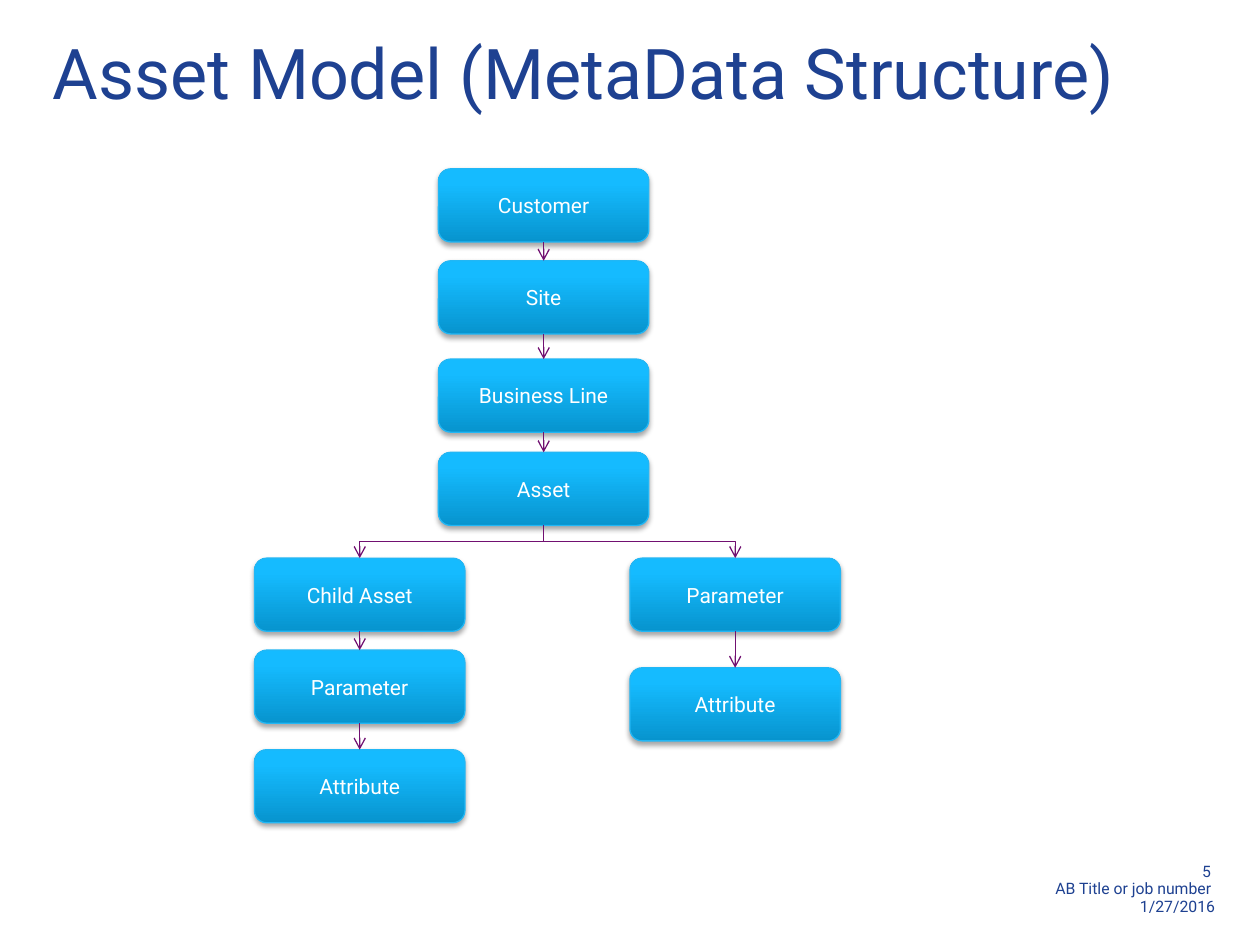
from lxml import etree
from pptx import Presentation
from pptx.dml.color import RGBColor
from pptx.enum import shapes, text
from pptx.oxml import parse_xml
from pptx.oxml.ns import nsdecls, qn
from pptx.util import Inches, Pt

COLORS = {
    "navy": "1E4191",
    "white": "FFFFFF",
    "box_line": "22B7F5",
    "arrow": "711071",
    "shadow": "000000",
}
BOX_STOPS = [(0, "0794CE"), (80, "15BBFF"), (100, "16BBFF")]
FONT = "Roboto"
BOX_W, BOX_H = 1.67, 0.58
TOP, BOTTOM = 0, 2

# Each column: left edge, then (label, top) from parent to child
MAIN = (3.48, [("Customer", 1.34), ("Site", 2.07),
               ("Business Line", 2.85), ("Asset", 3.59)])
CHILD = (2.02, [("Child Asset", 4.43), ("Parameter", 5.16), ("Attribute", 5.95)])
PARAMETER = (5, [("Parameter", 4.43), ("Attribute", 5.3)])


def rgb(name):
    return RGBColor.from_string(COLORS[name])


def write(tf, *lines, size=12, color="white", align=None, spacing=None,
          anchor=text.MSO_ANCHOR.TOP):
    tf.word_wrap = True
    tf.vertical_anchor = anchor
    for i, line in enumerate(lines):
        p = tf.add_paragraph() if i else tf.paragraphs[0]
        p.alignment = align
        p.line_spacing = spacing
        r = p.add_run()
        r.text = line
        r.font.name = FONT
        r.font.size = Pt(size)
        r.font.color.rgb = rgb(color)


def add_title(slide, title):
    sp = slide.shapes.title
    sp.left, sp.top, sp.width, sp.height = map(Inches, (0.42, 0.31, 9.25, 0.67))
    tf = sp.text_frame
    tf.margin_left = tf.margin_top = tf.margin_right = tf.margin_bottom = 0
    tf.auto_size = text.MSO_AUTO_SIZE.NONE
    write(tf, title, size=40, color="navy", align=text.PP_ALIGN.LEFT, spacing=0.9)


def add_footer(slide, *lines):
    sp = slide.shapes.add_textbox(*map(Inches, (7.05, 6.81, 2.69, 0.51)))
    write(sp.text_frame, *lines, size=9, color="navy",
          align=text.PP_ALIGN.RIGHT, spacing=0.9)
    sp.text_frame.auto_size = text.MSO_AUTO_SIZE.SHAPE_TO_FIT_TEXT


def set_gradient(sp):
    """Fill from bottom to top with the three box stops."""
    sp.fill.gradient()
    sp.fill.gradient_angle = 90
    stops = sp._element.spPr.find(qn("a:gradFill")).find(qn("a:gsLst"))
    for old in list(stops):
        stops.remove(old)
    for percent, color in BOX_STOPS:
        gs = etree.SubElement(stops, qn("a:gs"), pos=str(percent * 1000))
        etree.SubElement(gs, qn("a:srgbClr"), val=color)


def set_shadow(sp):
    sp.shadow.inherit = False
    effects = sp._element.spPr.find(qn("a:effectLst"))
    effects.append(parse_xml(
        f'<a:outerShdw {nsdecls("a")} blurRad="{Pt(3.1)}" dist="{Pt(1.8)}" '
        f'dir="5400000" rotWithShape="0"><a:srgbClr val="{COLORS["shadow"]}">'
        '<a:alpha val="35000"/></a:srgbClr></a:outerShdw>'))


def add_box(slide, label, left, top):
    sp = slide.shapes.add_shape(shapes.MSO_SHAPE.ROUNDED_RECTANGLE,
                                *map(Inches, (left, top, BOX_W, BOX_H)))
    set_gradient(sp)
    sp.line.color.rgb = rgb("box_line")
    sp.line.width = Pt(0.75)
    set_shadow(sp)
    write(sp.text_frame, label, align=text.PP_ALIGN.CENTER,
          anchor=text.MSO_ANCHOR.MIDDLE)
    return sp


def turn_elbow(c):
    """Rotate an elbow so that it leaves and arrives vertically."""
    dx, dy = c.end_x - c.begin_x, c.end_y - c.begin_y
    mid_x, mid_y = c.begin_x + dx // 2, c.begin_y + dy // 2
    c.width, c.height = dy, abs(dx)
    c.left, c.top = mid_x - dy // 2, mid_y - abs(dx) // 2
    xfrm = c._element.spPr.find(qn("a:xfrm"))
    xfrm.set("rot", str((270 if dx > 0 else 90) * 60000))
    xfrm.set("flipH", "1" if dx > 0 else "0")


def add_arrow(slide, parent, child, elbow=False):
    kind = shapes.MSO_CONNECTOR.ELBOW if elbow else shapes.MSO_CONNECTOR.STRAIGHT
    c = slide.shapes.add_connector(kind, 0, 0, 0, 0)
    c.begin_connect(parent, BOTTOM)
    c.end_connect(child, TOP)
    if elbow:
        turn_elbow(c)
    c.line.color.rgb = rgb("arrow")
    c.line.width = Pt(0.75)
    etree.SubElement(c.line._get_or_add_ln(), qn("a:tailEnd"), type="arrow")
    etree.SubElement(c._element.spPr, qn("a:effectLst"))


def add_column(slide, left, items):
    boxes = [add_box(slide, label, left, top) for label, top in items]
    for parent, child in zip(boxes, boxes[1:]):
        add_arrow(slide, parent, child)
    return boxes


def main():
    prs = Presentation()
    prs.slide_width, prs.slide_height = Inches(10), Inches(7.5)
    slide = prs.slides.add_slide(prs.slide_layouts[5])
    add_footer(slide, "5 ", "AB Title or job number ", "1/27/2016")
    add_title(slide, "Asset Model (MetaData Structure)")
    asset = add_column(slide, *MAIN)[-1]
    for branch in (CHILD, PARAMETER):
        first = add_column(slide, *branch)[0]
        add_arrow(slide, asset, first, elbow=True)
    prs.save("out.pptx")


if __name__ == "__main__":
    main()
